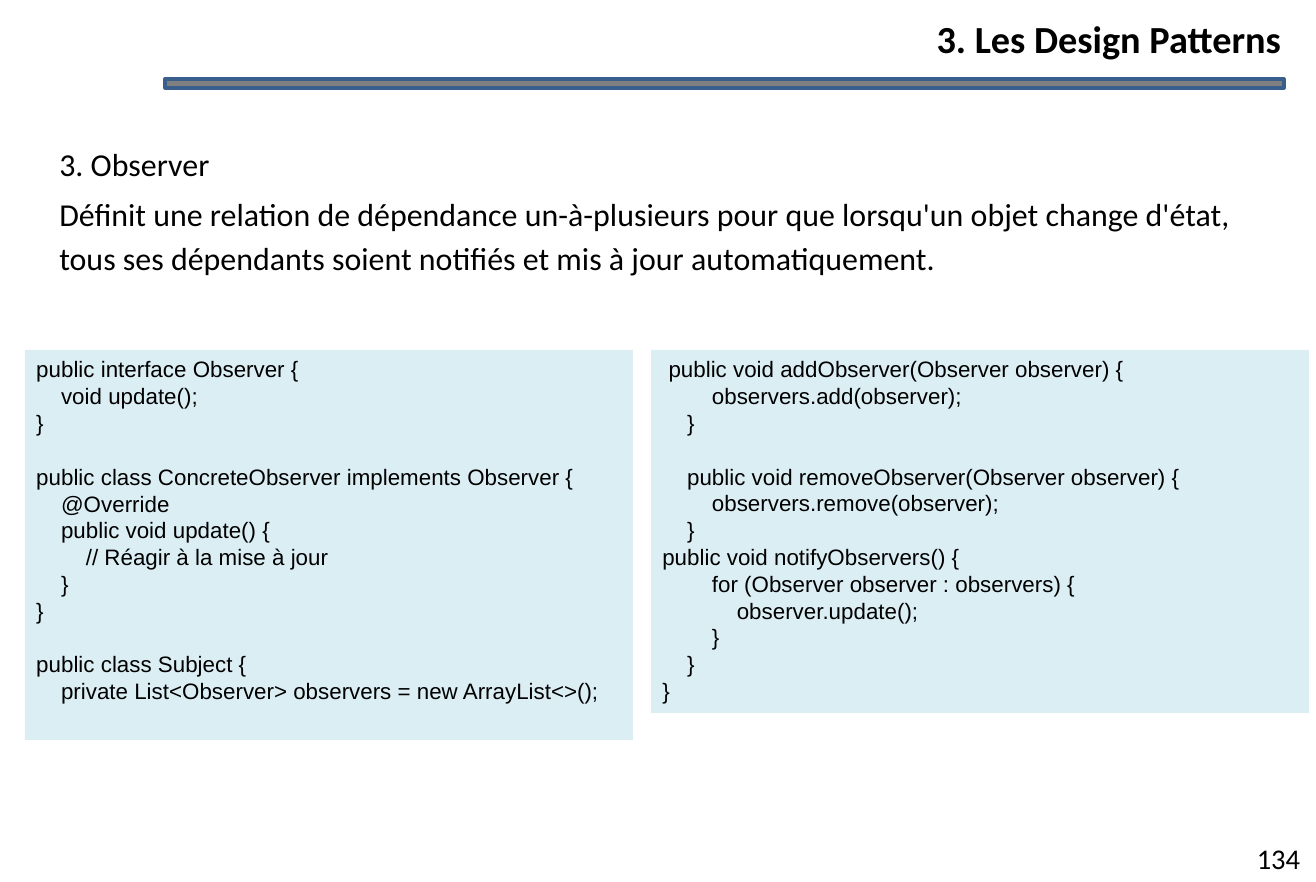
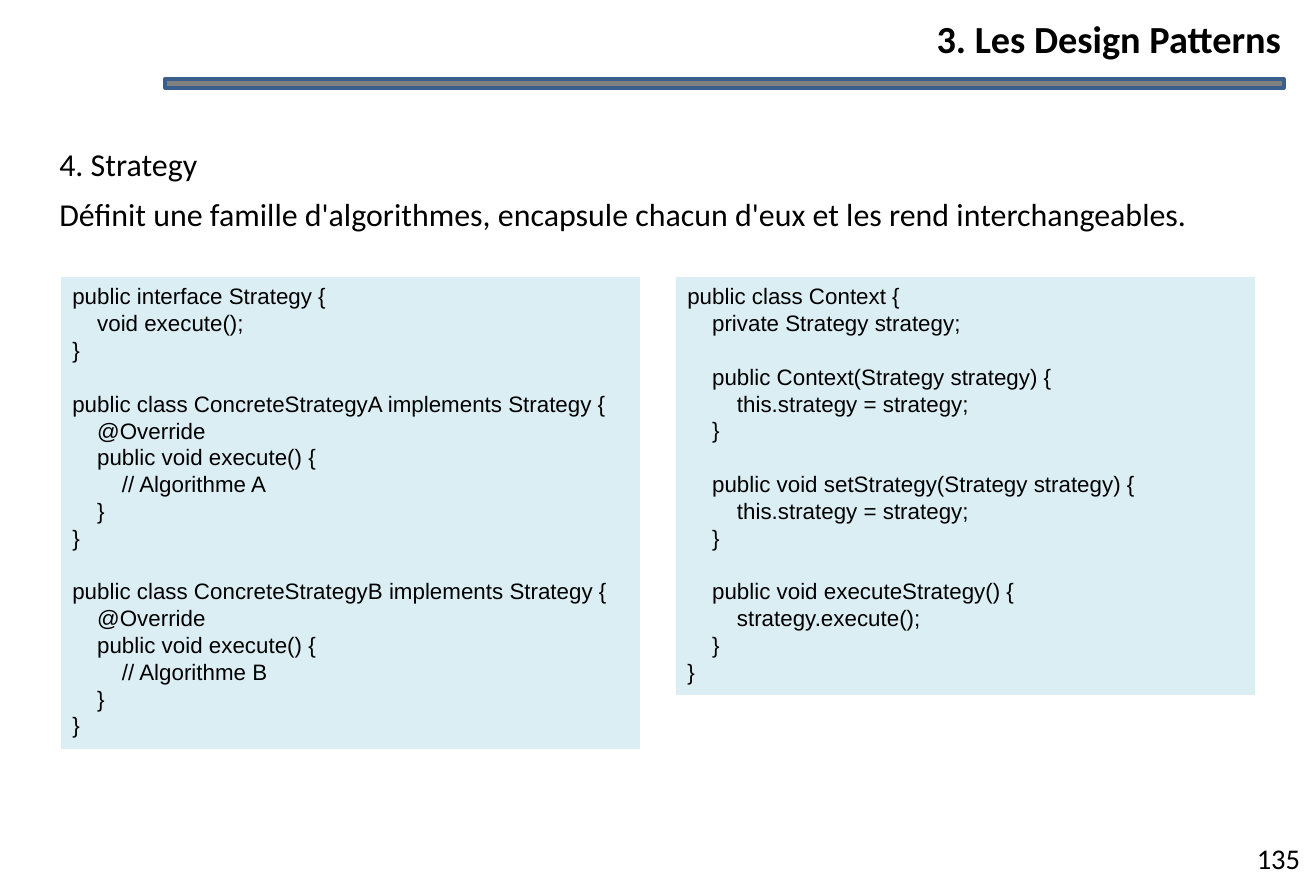
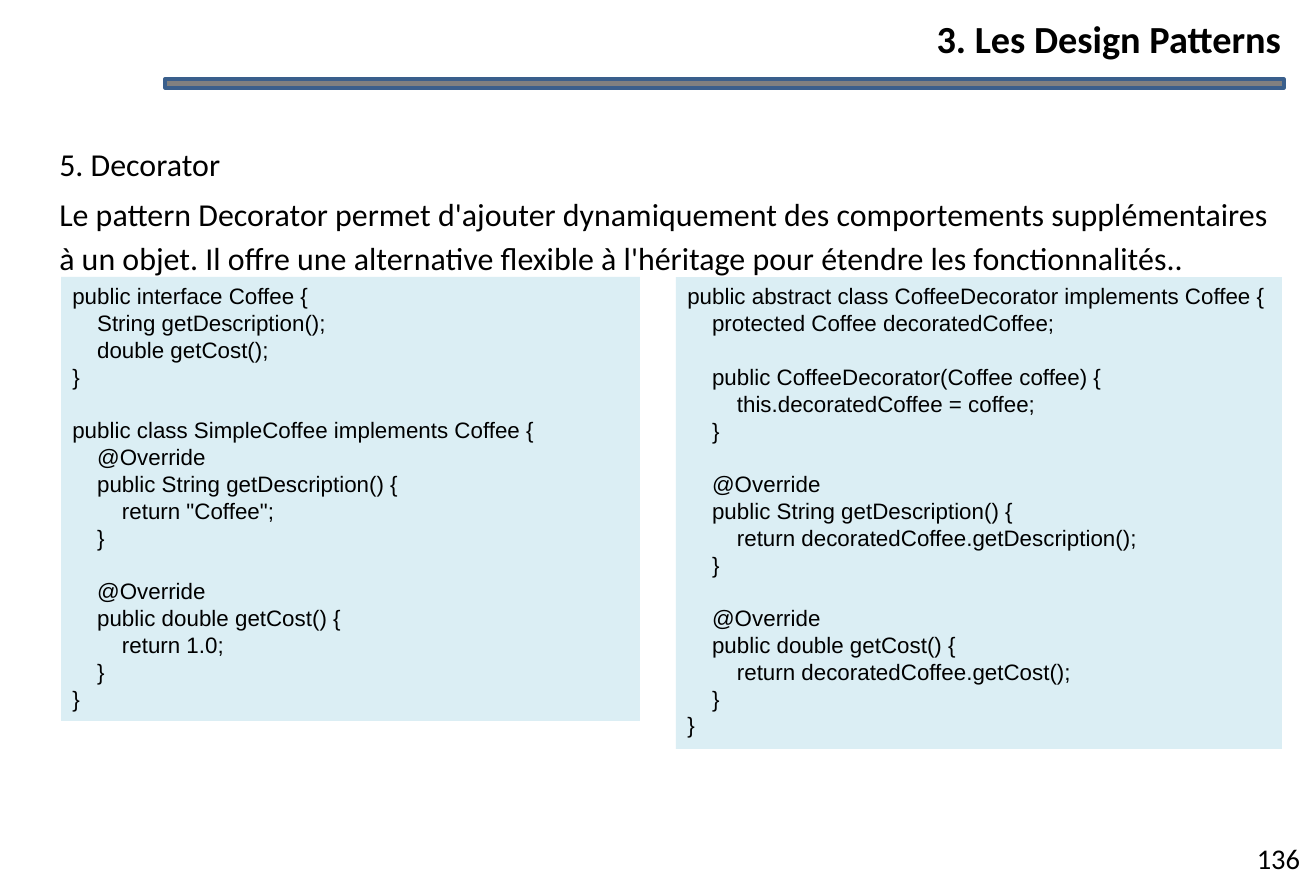
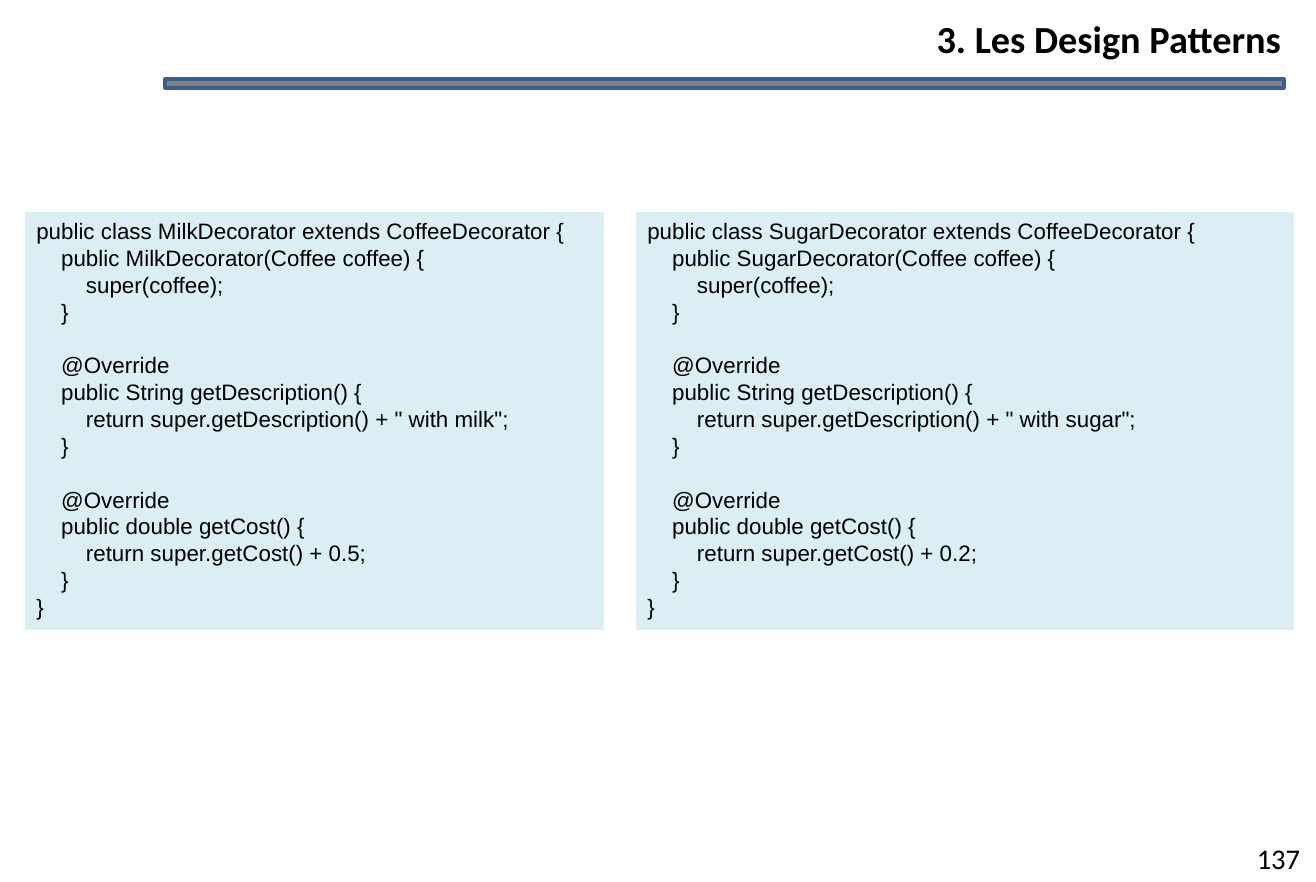
from pptx import Presentation
from pptx.dml.color import RGBColor
from pptx.enum.shapes import MSO_SHAPE
from pptx.enum.text import MSO_ANCHOR, PP_ALIGN
from pptx.util import Emu, Pt

EMU_PER_PX = 914400 / 114.8
SLIDE_W, SLIDE_H = 1316, 882
FIRST_PAGE = 134
CHAPTER = "3. Les Design Patterns"
COLORS = {"text": "000000", "rule": "808080", "rule_edge": "3A5F8C", "code": "DBEEF4"}

CODE_SIZE = 14
CODE_LINE = 16.84
SPACE_WIDTH = CODE_SIZE * 0.278

OBSERVER = """\
public interface Observer {
    void update();
}

public class ConcreteObserver implements Observer {
    @Override
    public void update() {
        // Réagir à la mise à jour
    }
}

public class Subject {
    private List<Observer> observers = new ArrayList<>();"""

SUBJECT_METHODS = """\
 public void addObserver(Observer observer) {
        observers.add(observer);
    }

    public void removeObserver(Observer observer) {
        observers.remove(observer);
    }
public void notifyObservers() {
        for (Observer observer : observers) {
            observer.update();
        }
    }
}"""

STRATEGY = """\
public interface Strategy {
    void execute();
}

public class ConcreteStrategyA implements Strategy {
    @Override
    public void execute() {
        // Algorithme A
    }
}

public class ConcreteStrategyB implements Strategy {
    @Override
    public void execute() {
        // Algorithme B
    }
}"""

CONTEXT = """\
public class Context {
    private Strategy strategy;

    public Context(Strategy strategy) {
        this.strategy = strategy;
    }

    public void setStrategy(Strategy strategy) {
        this.strategy = strategy;
    }

    public void executeStrategy() {
        strategy.execute();
    }
}"""

COFFEE = """\
public interface Coffee {
    String getDescription();
    double getCost();
}

public class SimpleCoffee implements Coffee {
    @Override
    public String getDescription() {
        return "Coffee";
    }

    @Override
    public double getCost() {
        return 1.0;
    }
}"""

COFFEE_DECORATOR = """\
public abstract class CoffeeDecorator implements Coffee {
    protected Coffee decoratedCoffee;

    public CoffeeDecorator(Coffee coffee) {
        this.decoratedCoffee = coffee;
    }

    @Override
    public String getDescription() {
        return decoratedCoffee.getDescription();
    }

    @Override
    public double getCost() {
        return decoratedCoffee.getCost();
    }
}"""

INGREDIENT_DECORATOR = """\
public class {name}Decorator extends CoffeeDecorator {{
    public {name}Decorator(Coffee coffee) {{
        super(coffee);
    }}

    @Override
    public String getDescription() {{
        return super.getDescription() + " with {extra}";
    }}

    @Override
    public double getCost() {{
        return super.getCost() + {cost};
    }}
}}"""

# Each slide: introduction, then (left, top, width, height, code) per panel.
SLIDES = [
    (["3. Observer",
      "Définit une relation de dépendance un-à-plusieurs pour que lorsqu'un objet change "
      "d'état, tous ses dépendants soient notifiés et mis à jour automatiquement."],
     [(25, 350, 608, 390, OBSERVER), (651, 350, 658, 363, SUBJECT_METHODS)]),
    (["4. Strategy",
      "Définit une famille d'algorithmes, encapsule chacun d'eux et les rend interchangeables."],
     [(61, 277, 579, 472, STRATEGY), (676, 277, 579, 418, CONTEXT)]),
    (["5. Decorator",
      "Le pattern Decorator permet d'ajouter dynamiquement des comportements supplémentaires "
      "à un objet. Il offre une alternative flexible à l'héritage pour étendre les "
      "fonctionnalités.."],
     [(61, 277, 579, 444, COFFEE), (676, 277, 606, 472, COFFEE_DECORATOR)]),
    ([],
     [(25, 212, 579, 418, INGREDIENT_DECORATOR.format(name="Milk", extra="milk", cost=0.5)),
      (636, 212, 658, 418, INGREDIENT_DECORATOR.format(name="Sugar", extra="sugar", cost=0.2))]),
]


def px(length):
    return Emu(round(length * EMU_PER_PX))


def add_paragraph(frame, text, *, size, font="Calibri", bold=False, align=PP_ALIGN.LEFT,
                  indent=0, before=0, spacing=None):
    """Write text into the frame's empty first paragraph, or into a new one."""
    first = frame.paragraphs[0]
    paragraph = frame.add_paragraph() if first.runs else first
    paragraph.alignment = align
    paragraph.space_before = Pt(before)
    if spacing:
        paragraph.line_spacing = spacing
    if indent:
        paragraph._p.get_or_add_pPr().set("marL", str(Pt(indent)))
    run = paragraph.add_run()
    run.text = text
    run.font.name = font
    run.font.size = Pt(size)
    run.font.bold = bold
    run.font.color.rgb = RGBColor.from_string(COLORS["text"])


def add_frame(slide, left, top, width, height, inset=True):
    frame = slide.shapes.add_textbox(px(left), px(top), px(width), px(height)).text_frame
    frame.word_wrap = True
    if not inset:
        frame.margin_left = frame.margin_top = frame.margin_right = frame.margin_bottom = 0
    return frame


def add_rectangle(slide, left, top, width, height, fill, edge=None):
    rectangle = slide.shapes.add_shape(
        MSO_SHAPE.RECTANGLE, px(left), px(top), px(width), px(height))
    rectangle.shadow.inherit = False
    rectangle.fill.solid()
    rectangle.fill.fore_color.rgb = RGBColor.from_string(COLORS[fill])
    if edge:
        rectangle.line.color.rgb = RGBColor.from_string(COLORS[edge])
        rectangle.line.width = Pt(2)
    else:
        rectangle.line.fill.background()
    return rectangle


def add_header_and_page(slide, page):
    add_rectangle(slide, 165, 79, 1119, 9, "rule", "rule_edge")
    title = add_frame(slide, 224, 15, 1057, 46, inset=False)
    add_paragraph(title, CHAPTER, size=24, bold=True, align=PP_ALIGN.RIGHT)
    footer = add_frame(slide, 1241, 835, 75, 47)
    add_paragraph(footer, str(page), size=17.9, align=PP_ALIGN.CENTER)


def add_introduction(slide, paragraphs):
    frame = add_frame(slide, 25, 133, 1265, 149)
    for text in paragraphs:
        add_paragraph(frame, text, size=20, indent=14.4, before=4, spacing=1.15)


def add_code(slide, left, top, width, height, code):
    """Turn leading spaces into indents and empty lines into paragraph spacing."""
    frame = add_rectangle(slide, left, top, width, height, "code").text_frame
    frame.word_wrap = True
    frame.vertical_anchor = MSO_ANCHOR.TOP
    gap = 0
    for line in code.splitlines():
        statement = line.lstrip()
        if not statement:
            gap = CODE_LINE
            continue
        add_paragraph(frame, statement, size=CODE_SIZE, font="Arial", before=gap,
                      indent=(len(line) - len(statement)) * SPACE_WIDTH)
        gap = 0


def main():
    prs = Presentation()
    prs.slide_width, prs.slide_height = px(SLIDE_W), px(SLIDE_H)
    for page, (introduction, panels) in enumerate(SLIDES, FIRST_PAGE):
        slide = prs.slides.add_slide(prs.slide_layouts[6])
        add_header_and_page(slide, page)
        if introduction:
            add_introduction(slide, introduction)
        for panel in panels:
            add_code(slide, *panel)
    prs.save("out.pptx")


if __name__ == "__main__":
    main()
